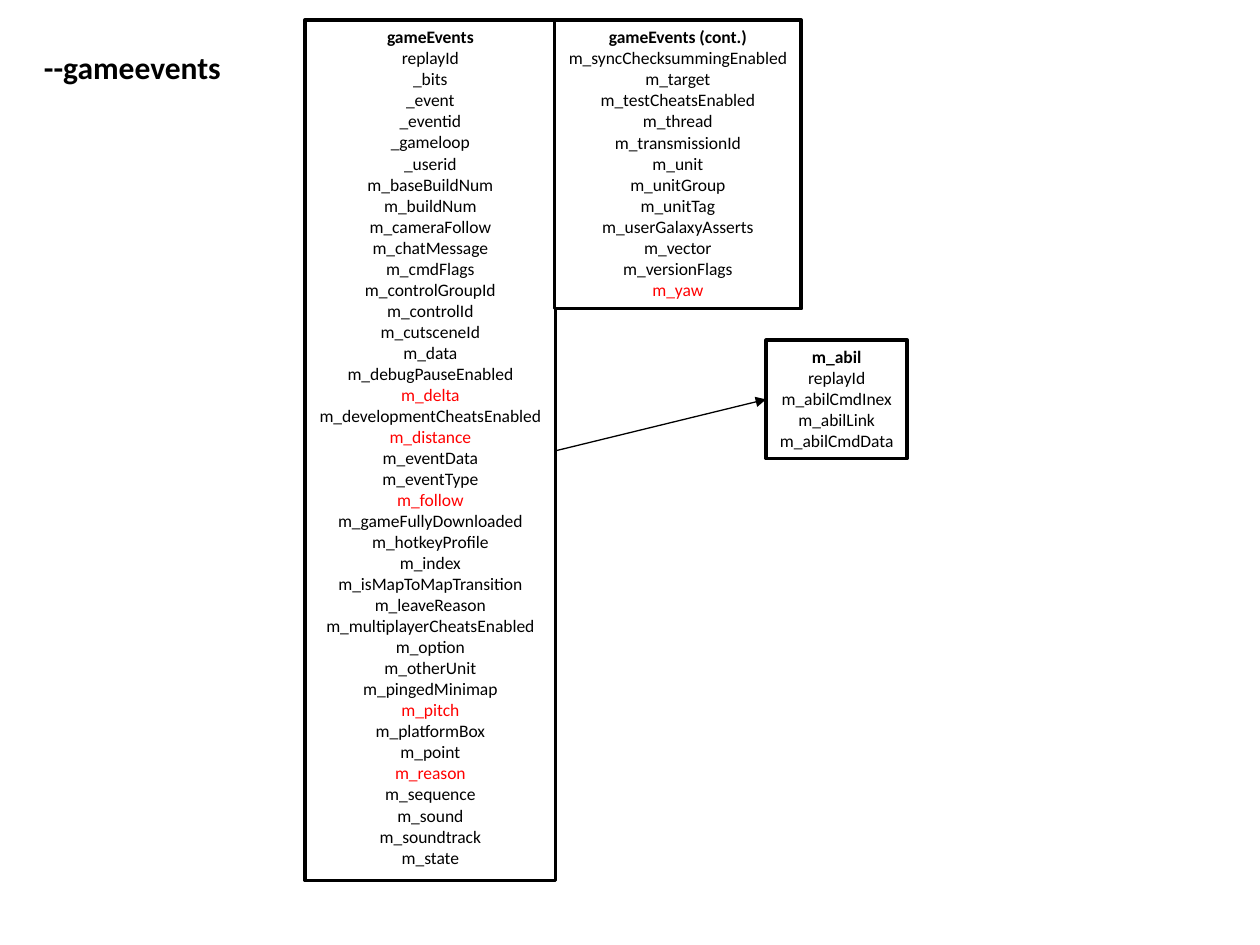
from pptx import Presentation
from pptx.dml.color import RGBColor
from pptx.enum.shapes import MSO_CONNECTOR, MSO_SHAPE
from pptx.enum.text import MSO_ANCHOR, MSO_AUTO_SIZE, PP_ALIGN
from pptx.oxml.ns import qn
from pptx.util import Inches, Pt
from lxml.etree import SubElement

THEME = {
    "font": "Calibri",
    "ink": RGBColor(0, 0, 0),
    "marked": RGBColor(255, 0, 0),
    "paper": RGBColor(255, 255, 255),
    "title_size": Pt(18),
    "field_size": Pt(10),
    "border": Pt(2),
    "arrow": Pt(0.75),
}

MARKED_FIELDS = {"m_delta", "m_distance", "m_follow", "m_pitch", "m_reason", "m_yaw"}

GAME_EVENTS = """replayId _bits _event _eventid _gameloop _userid m_baseBuildNum
m_buildNum m_cameraFollow m_chatMessage m_cmdFlags m_controlGroupId m_controlId
m_cutsceneId m_data m_debugPauseEnabled m_delta m_developmentCheatsEnabled
m_distance m_eventData m_eventType m_follow m_gameFullyDownloaded m_hotkeyProfile
m_index m_isMapToMapTransition m_leaveReason m_multiplayerCheatsEnabled m_option
m_otherUnit m_pingedMinimap m_pitch m_platformBox m_point m_reason m_sequence
m_sound m_soundtrack m_state"""

GAME_EVENTS_CONTINUED = """m_syncChecksummingEnabled m_target m_testCheatsEnabled
m_thread m_transmissionId m_unit m_unitGroup m_unitTag m_userGalaxyAsserts m_vector
m_versionFlags m_yaw"""

ABILITY = "replayId m_abilCmdInex m_abilLink m_abilCmdData"

ENTITIES = [
    ("gameEvents", GAME_EVENTS, 2.42, 0.16, 1.99, 6.83),
    ("gameEvents (cont.)", GAME_EVENTS_CONTINUED, 4.4, 0.16, 1.96, 2.29),
    ("m_abil", ABILITY, 6.08, 2.7, 1.12, 0.94),
]


def add_span(para, text, size, color, bold):
    span = para.add_run()
    span.text = text
    span.font.name = THEME["font"]
    span.font.size = size
    span.font.color.rgb = color
    span.font.bold = bold


def fit_to_text(frame):
    frame.word_wrap = False
    frame.auto_size = MSO_AUTO_SIZE.SHAPE_TO_FIT_TEXT
    frame.vertical_anchor = MSO_ANCHOR.TOP


deck = Presentation()
deck.slide_width, deck.slide_height = Inches(10), Inches(7.5)
page = deck.slides.add_slide(deck.slide_layouts[6])

title = page.shapes.add_textbox(Inches(0.25), Inches(0.33), Inches(1.62), Inches(0.4))
fit_to_text(title.text_frame)
add_span(title.text_frame.paragraphs[0], "--gameevents", THEME["title_size"], THEME["ink"], True)

for name, fields, left, top, width, height in ENTITIES:
    box = page.shapes.add_shape(
        MSO_SHAPE.RECTANGLE, Inches(left), Inches(top), Inches(width), Inches(height)
    )
    box.shadow.inherit = False
    box.fill.solid()
    box.fill.fore_color.rgb = THEME["paper"]
    box.line.color.rgb = THEME["ink"]
    box.line.width = THEME["border"]
    frame = box.text_frame
    fit_to_text(frame)
    for index, label in enumerate([name, *fields.split()]):
        para = frame.add_paragraph() if index else frame.paragraphs[0]
        para.alignment = PP_ALIGN.CENTER
        color = THEME["marked"] if label in MARKED_FIELDS else THEME["ink"]
        add_span(para, label, THEME["field_size"], color, index == 0)

arrow = page.shapes.add_connector(
    MSO_CONNECTOR.STRAIGHT, Inches(4.4), Inches(3.58), Inches(6.08), Inches(3.17)
)
arrow.line.color.rgb = THEME["ink"]
arrow.line.width = THEME["arrow"]
SubElement(arrow.line._get_or_add_ln(), qn("a:tailEnd"), type="triangle")
SubElement(arrow._element.spPr, qn("a:effectLst"))

deck.save("out.pptx")
